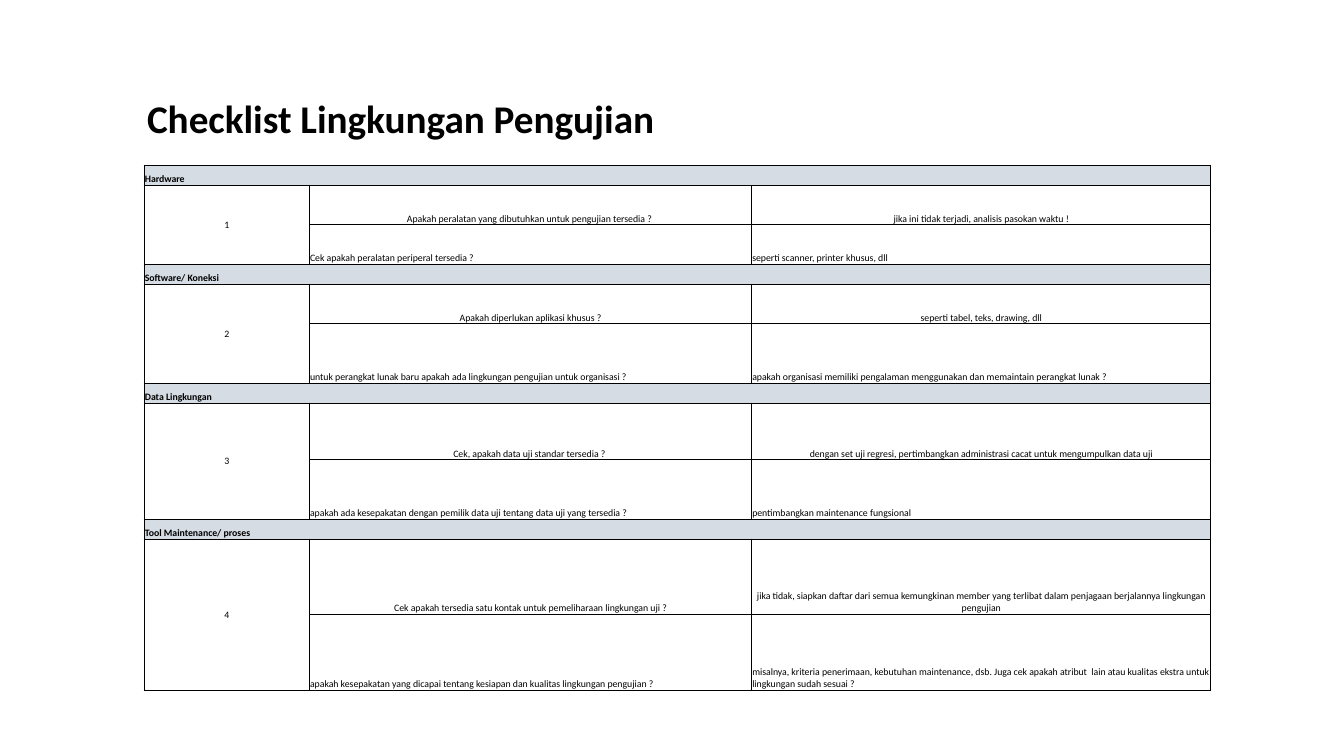
from lxml.etree import SubElement
from pptx import Presentation
from pptx.dml.color import RGBColor
from pptx.enum.text import MSO_ANCHOR, PP_ALIGN
from pptx.oxml.ns import qn
from pptx.util import Inches, Pt

HUES = {"ink": "000000", "band": "D6DCE4"}
FONT = "Calibri"
WIDE, HIGH = Inches(13.33), Inches(7.5)

# Table grid: columns as relative widths, rows as multiples of a band
LEFT, TOP, SPAN = 0.1073 * WIDE, 0.2187 * HIGH, 0.7937 * WIDE
COLS = [1.64, 4.39, 4.56]
UNIT = 0.0262 * HIGH

# Each group: name, then (height, question, note) for two rows
GROUPS = [
    ("Hardware", [
        (2, "Apakah peralatan yang dibutuhkan untuk pengujian tersedia ? ",
         "jika ini tidak terjadi, analisis pasokan waktu !"),
        (2, "Cek apakah peralatan periperal tersedia ?",
         "seperti scanner, printer khusus, dll")]),
    ("Software/ Koneksi", [
        (2, "Apakah diperlukan aplikasi khusus ?",
         "seperti tabel, teks, drawing, dll"),
        (3, "untuk perangkat lunak baru apakah ada lingkungan pengujian untuk organisasi ?",
         "apakah organisasi memiliki pengalaman menggunakan dan memaintain perangkat lunak ?")]),
    ("Data Lingkungan", [
        (2.87, "Cek, apakah data uji standar tersedia ? ",
         "dengan set uji regresi, pertimbangkan administrasi cacat untuk mengumpulkan data uji"),
        (3, "apakah ada kesepakatan dengan pemilik data uji tentang data uji yang tersedia ?",
         "pentimbangkan maintenance fungsional")]),
    ("Tool Maintenance/ proses", [
        (3.82, "Cek apakah tersedia satu kontak untuk pemeliharaan lingkungan uji ?",
         "jika tidak, siapkan daftar dari semua kemungkinan member yang terlibat "
         "dalam penjagaan berjalannya lingkungan pengujian"),
        (3.82, "apakah kesepakatan yang dicapai tentang kesiapan dan kualitas lingkungan pengujian ?",
         "misalnya, kriteria penerimaan, kebutuhan maintenance, dsb. Juga cek apakah "
         "atribut  lain atau kualitas ekstra untuk lingkungan sudah sesuai ?")]),
]


def apply(item, **vals):
    for key, val in vals.items():
        setattr(item, key, val)


def write(frame, text, size, bold=False, align=PP_ALIGN.LEFT):
    para = frame.paragraphs[0]
    para.alignment = align
    run = para.add_run()
    run.text = text
    apply(run.font, name=FONT, size=Pt(size), bold=bold)
    run.font.color.rgb = RGBColor.from_string(HUES["ink"])
    return para


def add_title(slide, text):
    box = slide.shapes.add_textbox(
        int(0.102 * WIDE), int(0.1 * HIGH), int(0.8 * WIDE), int(0.1187 * HIGH))
    frame = box.text_frame
    apply(frame, word_wrap=True, vertical_anchor=MSO_ANCHOR.MIDDLE)
    write(frame, text, 28, bold=True).line_spacing = 0.9


def add_edges(cell, outer):
    props = cell._tc.get_or_add_tcPr()
    for side in "LRTB":
        width = Pt(1 if side in outer else 0.5)
        line = SubElement(props, qn(f"a:ln{side}"), w=str(width))
        fill = SubElement(line, qn("a:solidFill"))
        SubElement(fill, qn("a:srgbClr"), val=HUES["ink"])


def style(table, row, col):
    cell = table.cell(row, col)
    edge = Pt(0.5)
    apply(cell, margin_left=edge, margin_right=edge, margin_top=edge,
          margin_bottom=0, vertical_anchor=MSO_ANCHOR.BOTTOM)
    # The rim of the table is heavier than the inner lines
    rim = {"L": col == 0, "T": row == 0,
           "R": col + cell.span_width == len(table.columns),
           "B": row + cell.span_height == len(table.rows)}
    add_edges(cell, [side for side, on in rim.items() if on])
    cell.fill.background()


def fill_group(table, top, num, name, items):
    # Band with the group name
    head = table.cell(top, 0)
    head.merge(table.cell(top, len(COLS) - 1))
    write(head.text_frame, name, 7, bold=True)
    # Number beside both rows
    mark = table.cell(top + 1, 0)
    mark.merge(table.cell(top + len(items), 0))
    write(mark.text_frame, str(num), 7, align=PP_ALIGN.CENTER)
    # Questions and notes: the first row is centred
    for step, (_, *texts) in enumerate(items):
        align = PP_ALIGN.LEFT if step else PP_ALIGN.CENTER
        for col, text in enumerate(texts, 1):
            write(table.cell(top + 1 + step, col).text_frame, text, 7, align=align)
    # Cell looks
    for row in range(top, top + len(items) + 1):
        for col in range(len(COLS)):
            style(table, row, col)
    head.fill.solid()
    head.fill.fore_color.rgb = RGBColor.from_string(HUES["band"])
    mark.vertical_anchor = MSO_ANCHOR.MIDDLE


def add_list(slide):
    sizes = [size for _, items in GROUPS
             for size in [1] + [item[0] for item in items]]
    table = slide.shapes.add_table(
        len(sizes), len(COLS), int(LEFT), int(TOP),
        int(SPAN), int(UNIT * sum(sizes))).table
    apply(table, first_row=False, horz_banding=False)
    for col, part in zip(table.columns, COLS):
        col.width = int(SPAN * part / sum(COLS))
    for row, size in zip(table.rows, sizes):
        row.height = int(UNIT * size)
    top = 0
    for num, (name, items) in enumerate(GROUPS, 1):
        fill_group(table, top, num, name, items)
        top += len(items) + 1


def main():
    deck = Presentation()
    apply(deck, slide_width=WIDE, slide_height=HIGH)
    slide = deck.slides.add_slide(deck.slide_layouts[6])
    add_title(slide, "Checklist Lingkungan Pengujian")
    add_list(slide)
    deck.save("out.pptx")


if __name__ == "__main__":
    main()
